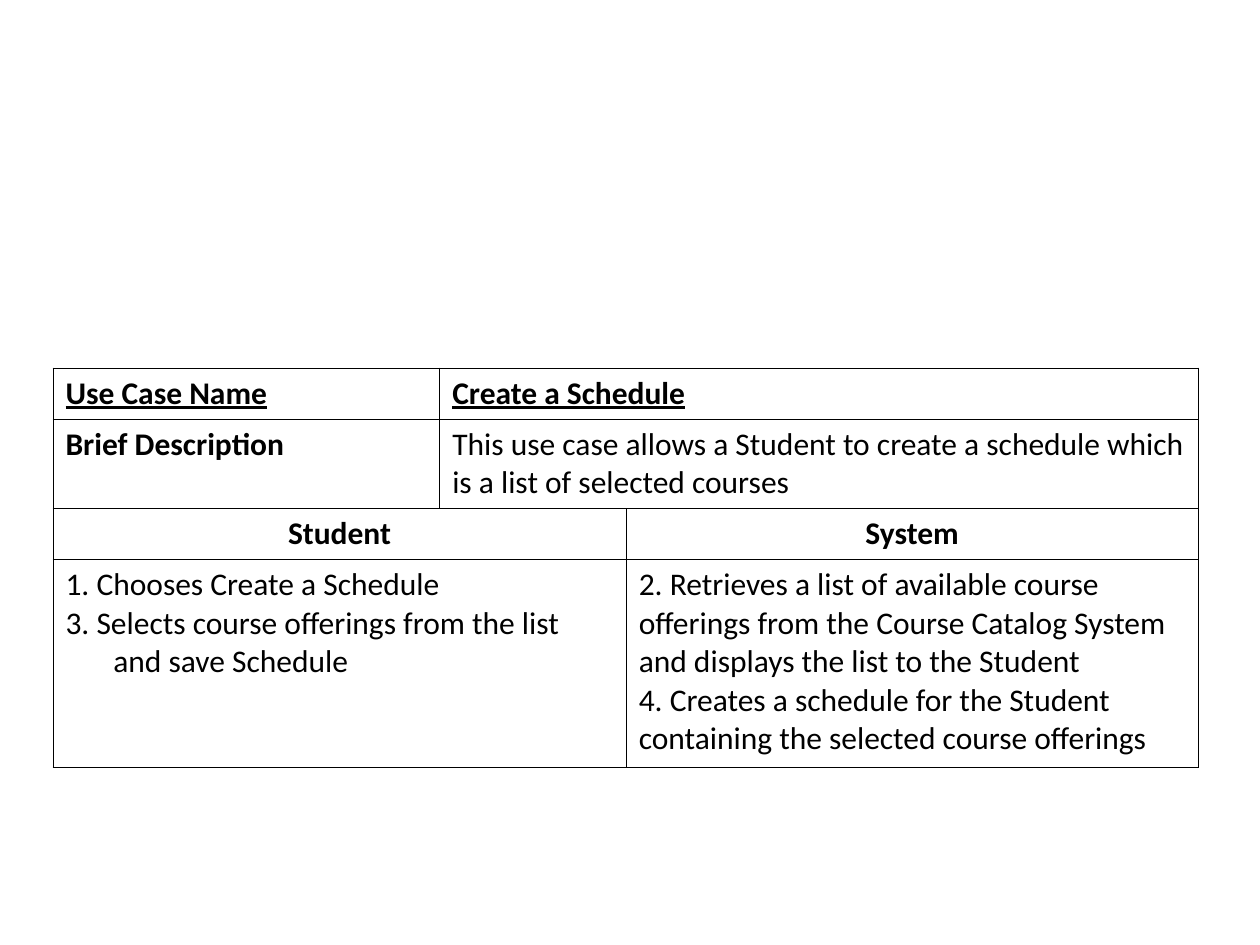
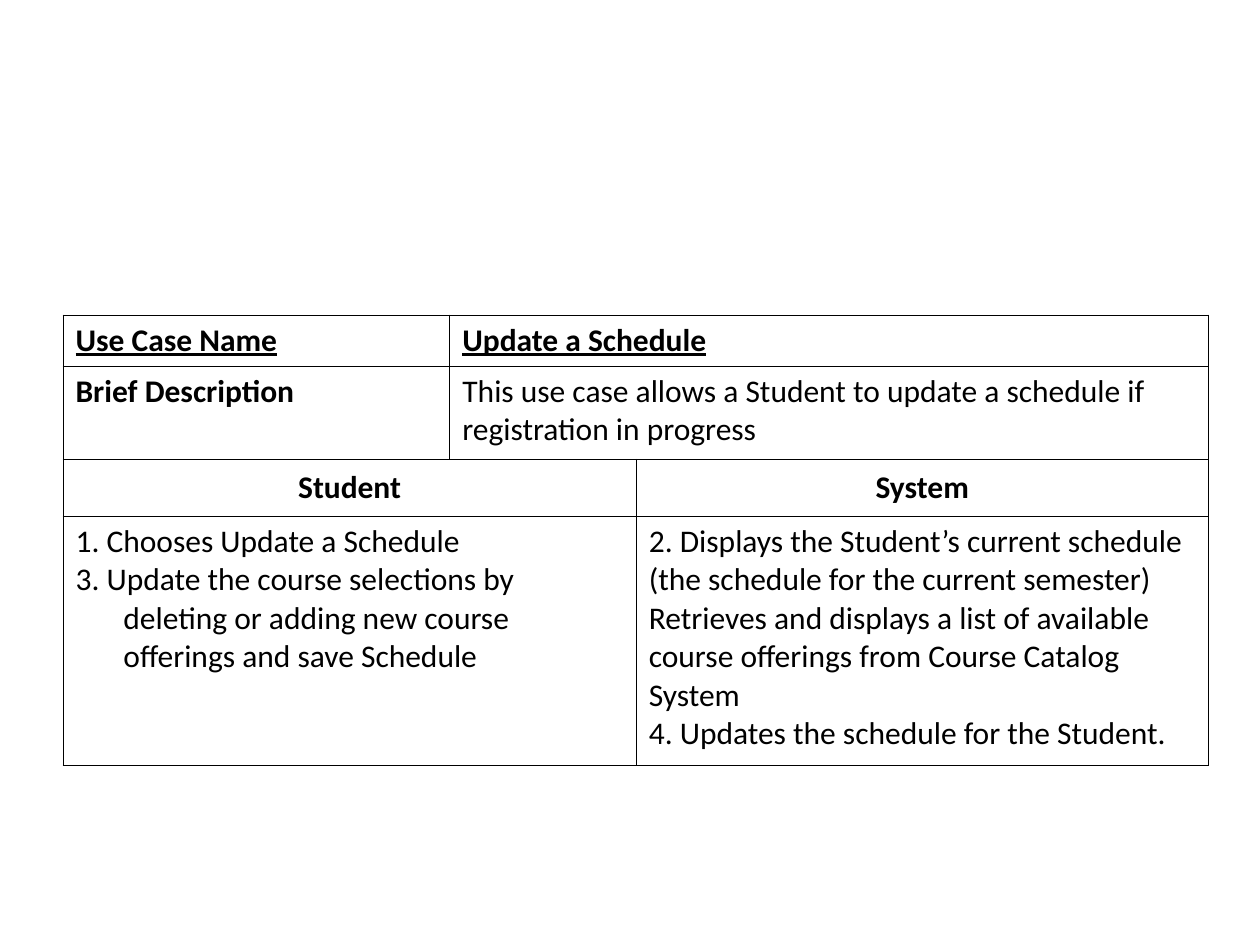
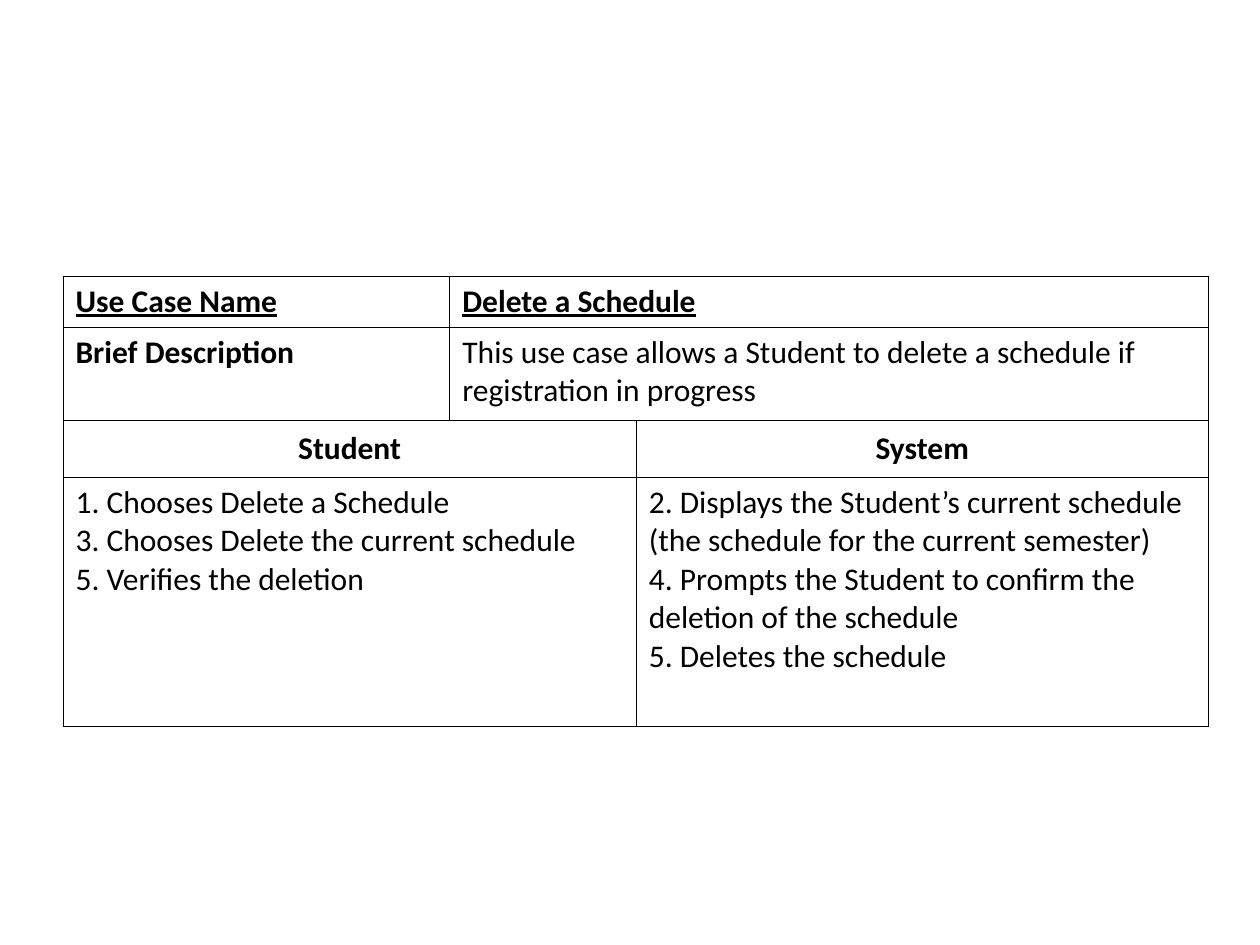
from lxml.etree import SubElement
from pptx import Presentation
from pptx.dml.color import RGBColor
from pptx.enum.text import MSO_ANCHOR, PP_ALIGN
from pptx.oxml.ns import qn
from pptx.util import Inches, Pt

HUES = {"ink": "000000"}
FONT = "Calibri"
SIZE = Pt(18)
RULE = Pt(0.45)
HANG = Inches(0.38)
COLS = [3.07, 1.48, 4.54]
TALL = [0.4, 0.74, 0.45, 1.98]

CASES = [
    {
        "at": (0.42, 2.92),
        "rows": [0.4, 0.7, 0.4, 1.65],
        "name": "Create a Schedule",
        "brief": "This use case allows a Student to create a schedule which "
                 "is a list of selected courses",
        "student": ["1. Chooses Create a Schedule",
                    "3. Selects course offerings from the list and save Schedule"],
        "system": ["2. Retrieves a list of available course offerings from the "
                   "Course Catalog System and displays the list to the Student",
                   "4. Creates a schedule for the Student containing the "
                   "selected course offerings"],
    },
    {
        "at": (0.5, 2.5),
        "rows": TALL,
        "name": "Update a Schedule",
        "brief": "This use case allows a Student to update a schedule if "
                 "registration in progress",
        "student": ["1. Chooses Update a Schedule",
                    "3. Update the course selections by deleting or adding new "
                    "course offerings and save Schedule"],
        "system": ["2. Displays the Student’s current schedule (the schedule "
                   "for the current semester)",
                   "Retrieves and displays a list of available course "
                   "offerings from Course Catalog System",
                   "4. Updates the schedule for the Student."],
    },
    {
        "at": (0.5, 2.19),
        "rows": TALL,
        "name": "Delete a Schedule",
        "brief": "This use case allows a Student to delete a schedule if "
                 "registration in progress",
        "student": ["1. Chooses Delete a Schedule",
                    "3. Chooses Delete the current schedule",
                    "5. Verifies the deletion"],
        "system": ["2. Displays the Student’s current schedule (the schedule "
                   "for the current semester)",
                   "4. Prompts the Student to confirm the deletion of the schedule",
                   "5. Deletes the schedule"],
    },
]


def frame(cell):
    """Rule all four sides of a cell and leave it unfilled."""
    props = cell._tc.get_or_add_tcPr()
    for side in ("lnL", "lnR", "lnT", "lnB"):
        line = SubElement(props, qn(f"a:{side}"), w=str(int(RULE)))
        fill = SubElement(line, qn("a:solidFill"))
        SubElement(fill, qn("a:srgbClr"), val=HUES["ink"])
    cell.fill.background()


def write(cell, lines, bold=False, under=False, mid=False, center=False, hang=False):
    """Put one paragraph per line into a cell."""
    cell.vertical_anchor = MSO_ANCHOR.MIDDLE if mid else MSO_ANCHOR.TOP
    cell.text = "\n".join(lines)
    for para in cell.text_frame.paragraphs:
        para.alignment = PP_ALIGN.CENTER if center else PP_ALIGN.LEFT
        if hang:
            props = para._p.get_or_add_pPr()
            props.set("marL", str(int(HANG)))
            props.set("indent", str(-int(HANG)))
        font = para.font
        font.name, font.size = FONT, SIZE
        font.bold, font.underline = bold, under
        font.color.rgb = RGBColor.from_string(HUES["ink"])


deck = Presentation()
deck.slide_width, deck.slide_height = Inches(10), Inches(7.5)

for case in CASES:
    slide = deck.slides.add_slide(deck.slide_layouts[6])

    # Grid
    left, top = case["at"]
    grid = slide.shapes.add_table(
        len(case["rows"]), len(COLS), Inches(left), Inches(top),
        Inches(sum(COLS)), Inches(sum(case["rows"]))).table
    grid.first_row = grid.horz_banding = False
    for col, width in zip(grid.columns, COLS):
        col.width = Inches(width)
    for row, height in zip(grid.rows, case["rows"]):
        row.height = Inches(height)
    for cell in grid.iter_cells():
        frame(cell)

    # The top rows join the last two columns, the lower rows the first two
    for row, start in enumerate([1, 1, 0, 0]):
        grid.cell(row, start).merge(grid.cell(row, start + 1))

    # Name and description
    for col, text in enumerate(["Use Case Name", case["name"]]):
        write(grid.cell(0, col), [text], bold=True, under=True, mid=True)
    write(grid.cell(1, 0), ["Brief Description"], bold=True)
    write(grid.cell(1, 1), [case["brief"]])

    # Steps of each actor
    for col, actor in [(0, "Student"), (2, "System")]:
        write(grid.cell(2, col), [actor], bold=True, mid=True, center=True)
        write(grid.cell(3, col), case[actor.lower()], hang=col == 0)

deck.save("out.pptx")
